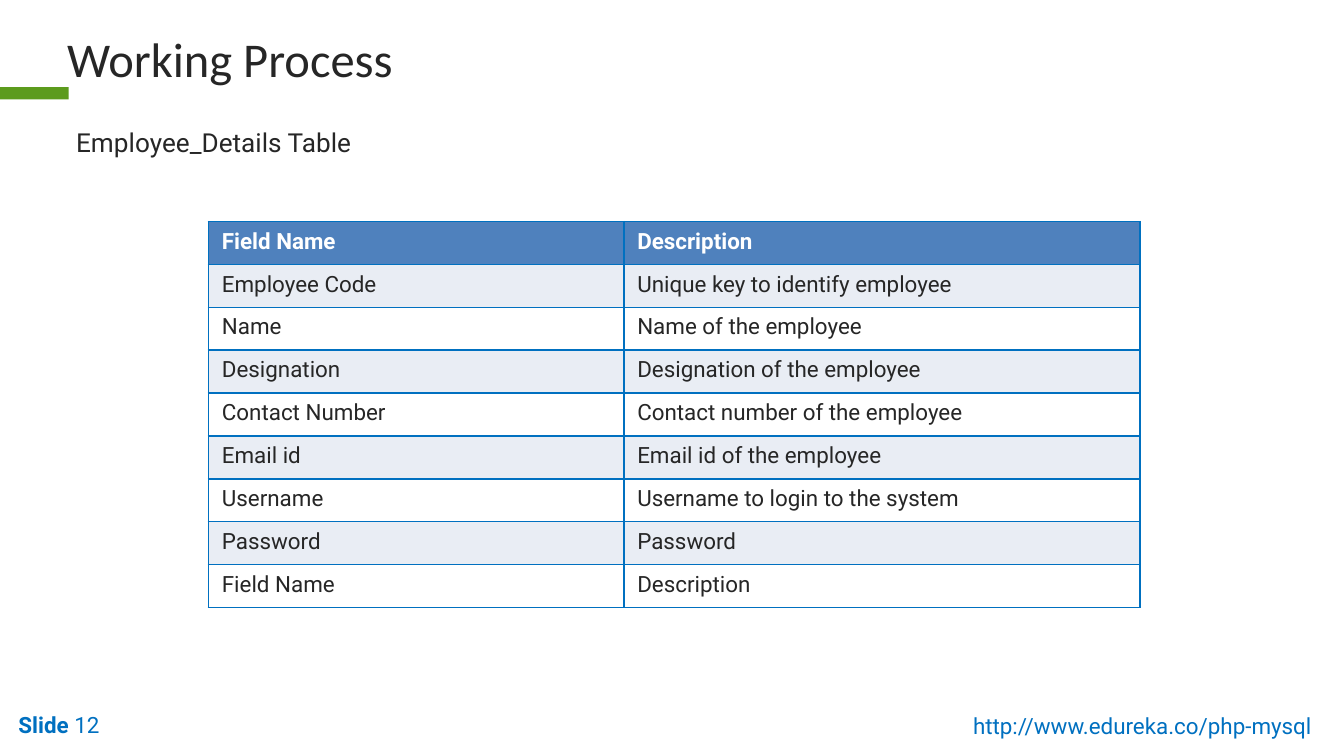
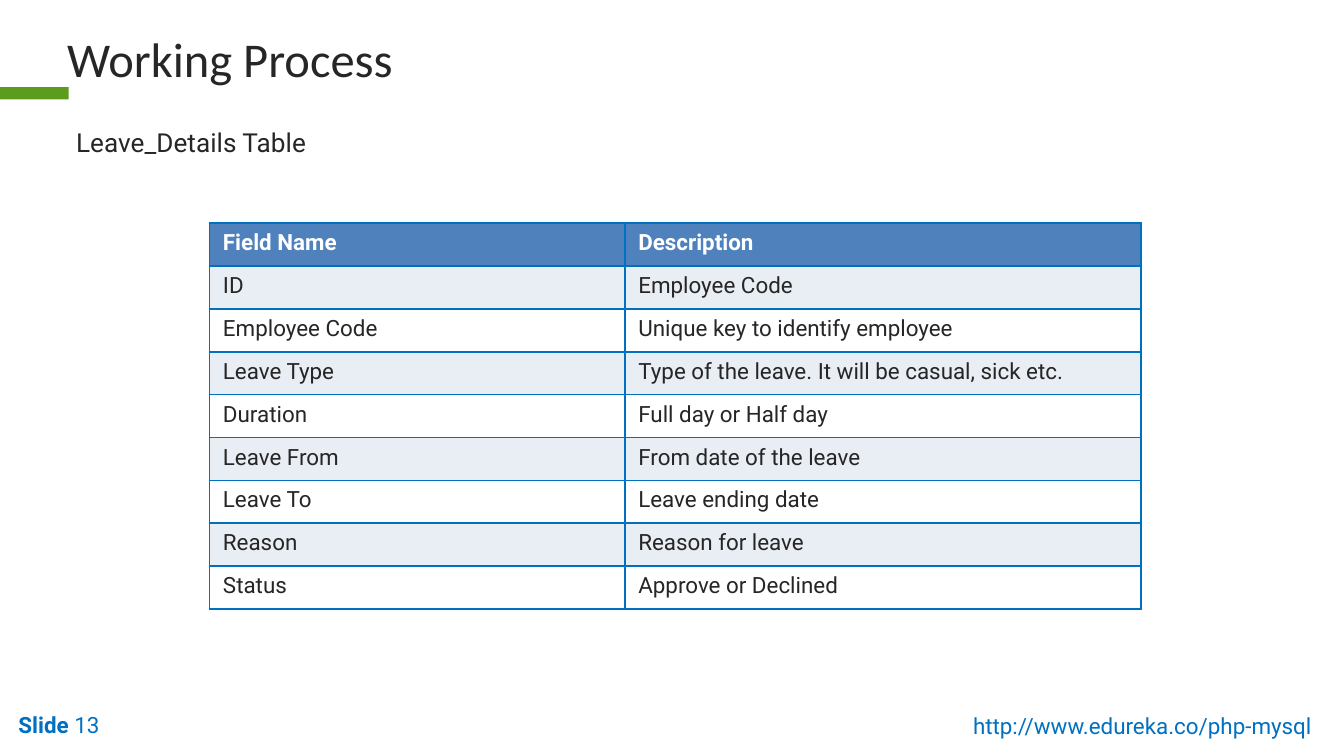
from lxml.etree import SubElement
from pptx import Presentation
from pptx.dml.color import RGBColor
from pptx.enum.shapes import MSO_SHAPE
from pptx.enum.text import MSO_AUTO_SIZE as AutoSize
from pptx.oxml.ns import qn
from pptx.util import Cm, Pt

COLORS = {
    "accent": "5C9B1D",
    "link": "0070C0",
    "text": "262626",
    "header": "4F81BD",
    "band": "E9EDF4",
    "white": "FFFFFF",
}
BODY_FONT = "Roboto"
TITLE_FONT = "Calibri"
COLUMN_WIDTHS = (7.85, 9.75)
ROW_HEIGHT = 0.81
HEADINGS = ("Field Name", "Description")

EMPLOYEE_FIELDS = [
    ("Employee Code", "Unique key to identify employee"),
    ("Name", "Name of the employee"),
    ("Designation", "Designation of the employee"),
    ("Contact Number", "Contact number of the employee"),
    ("Email id", "Email id of the employee"),
    ("Username", "Username to login to the system"),
    ("Password", "Password"),
    ("Field Name", "Description"),
]
LEAVE_FIELDS = [
    ("ID", "Employee Code"),
    ("Employee Code", "Unique key to identify employee"),
    ("Leave Type", "Type of the leave. It will be casual, sick etc."),
    ("Duration", "Full day or Half day"),
    ("Leave From", "From date of the leave"),
    ("Leave To", "Leave ending date"),
    ("Reason", "Reason for leave"),
    ("Status", "Approve or Declined"),
]


class Deck:
    """Hold the shared style and the slide being built."""

    def __init__(self):
        self.presentation = Presentation()
        self.presentation.slide_width = Cm(25.4)
        self.presentation.slide_height = Cm(14.29)
        self.slide = None

    def color(self, name):
        return RGBColor.from_string(COLORS[name])

    def add_run(self, paragraph, text, size, color, bold=False, font=BODY_FONT):
        run = paragraph.add_run()
        run.text = text
        run.font.size = Pt(size)
        run.font.name = font
        run.font.bold = bold
        run.font.color.rgb = self.color(color)

    def add_text(self, box, runs, size, color, wrap=True, font=BODY_FONT):
        frame = self.slide.shapes.add_textbox(*map(Cm, box)).text_frame
        frame.word_wrap = wrap
        frame.auto_size = AutoSize.SHAPE_TO_FIT_TEXT
        for text, bold in runs:
            self.add_run(frame.paragraphs[0], text, size, color, bold, font)

    def add_bar(self, box, color):
        bar = self.slide.shapes.add_shape(MSO_SHAPE.RECTANGLE, *map(Cm, box))
        bar.shadow.inherit = False
        bar.fill.solid()
        bar.fill.fore_color.rgb = self.color(color)
        bar.line.fill.background()

    def add_slide(self, number, title):
        self.slide = self.presentation.slides.add_slide(self.presentation.slide_layouts[6])
        self.add_bar((0, 1.65, 1.3, 0.23), "accent")
        self.add_text((0.1, 13.31, 4.01, 0.76), [("Slide ", True), (str(number), False)], 12, "link")
        self.add_text((18.14, 13.34, 7.24, 0.76), [("http://www.edureka.co/php-mysql", False)],
                      12, "link", wrap=False)
        self.add_text((1.02, 0.43, 6.93, 1.37), [(title, False)], 26, "text",
                      wrap=False, font=TITLE_FONT)

    def add_subtitle(self, text, width):
        self.add_text((1.19, 2.26, width, 0.86), [(text, False)], 14, "text")

    def add_borders(self, cell):
        properties = cell._tc.get_or_add_tcPr()
        for side in ("a:lnL", "a:lnR", "a:lnT", "a:lnB"):
            line = SubElement(properties, qn(side), w=str(Pt(1)))
            fill = SubElement(line, qn("a:solidFill"))
            SubElement(fill, qn("a:srgbClr"), val=COLORS["link"])

    def add_table(self, left, top, fields):
        rows = [HEADINGS, *fields]
        table = self.slide.shapes.add_table(
            len(rows), len(COLUMN_WIDTHS), Cm(left), Cm(top),
            Cm(sum(COLUMN_WIDTHS)), Cm(ROW_HEIGHT * len(rows))).table
        for column, width in zip(table.columns, COLUMN_WIDTHS):
            column.width = Cm(width)
        for index, texts in enumerate(rows):
            table.rows[index].height = Cm(ROW_HEIGHT)
            is_header = index == 0
            fill = "header" if is_header else "band" if index % 2 else "white"
            for cell, text in zip(table.rows[index].cells, texts):
                self.add_borders(cell)
                cell.fill.solid()
                cell.fill.fore_color.rgb = self.color(fill)
                self.add_run(cell.text_frame.paragraphs[0], text, 12,
                             "white" if is_header else "text", is_header)


def main():
    deck = Deck()

    deck.add_slide(12, "Working Process")
    deck.add_subtitle("Employee_Details Table", 19.48)
    deck.add_table(3.94, 4.19, EMPLOYEE_FIELDS)

    deck.add_slide(13, "Working Process")
    deck.add_subtitle("Leave_Details Table", 5.21)
    deck.add_table(3.96, 4.22, LEAVE_FIELDS)

    deck.presentation.save("out.pptx")


if __name__ == "__main__":
    main()
